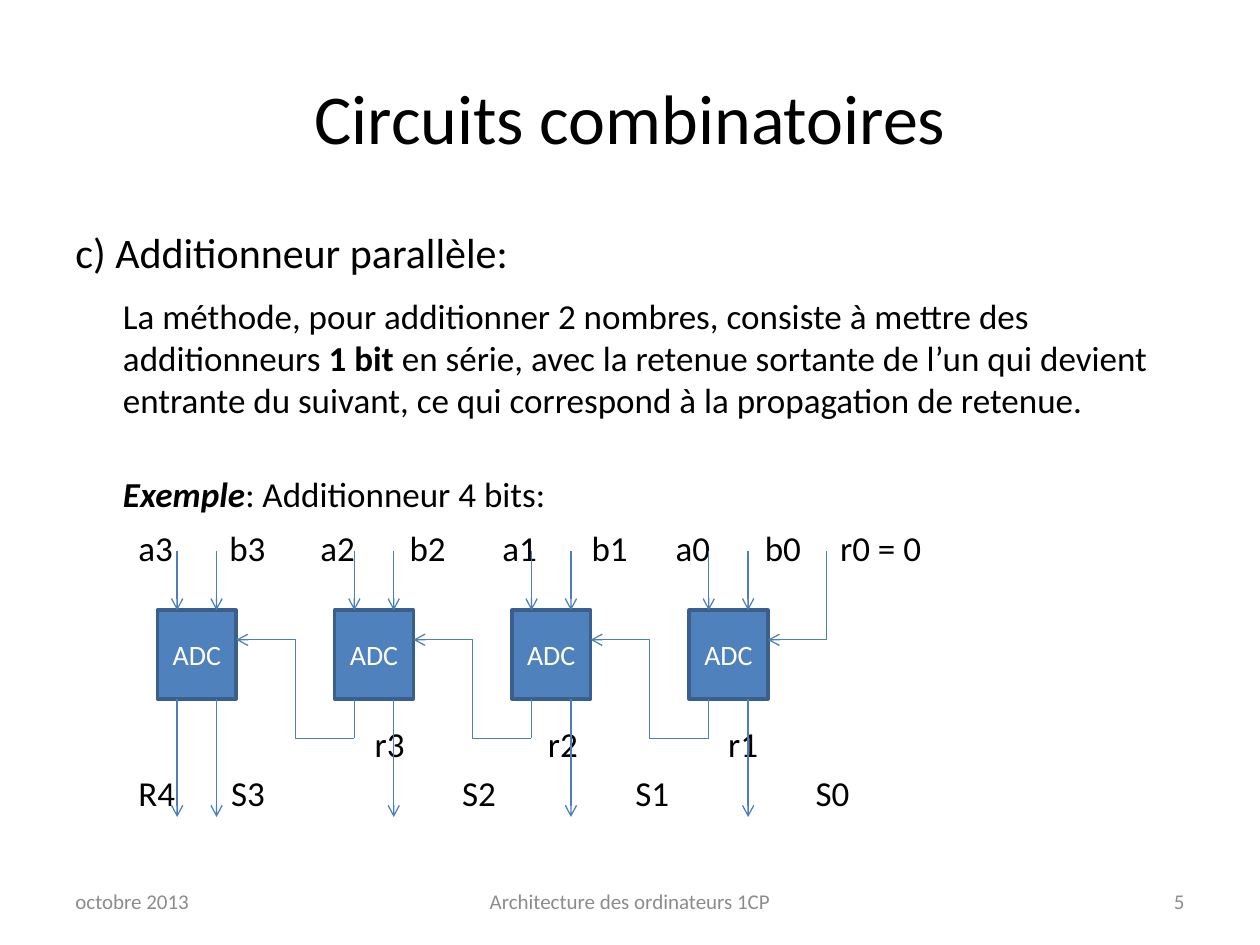
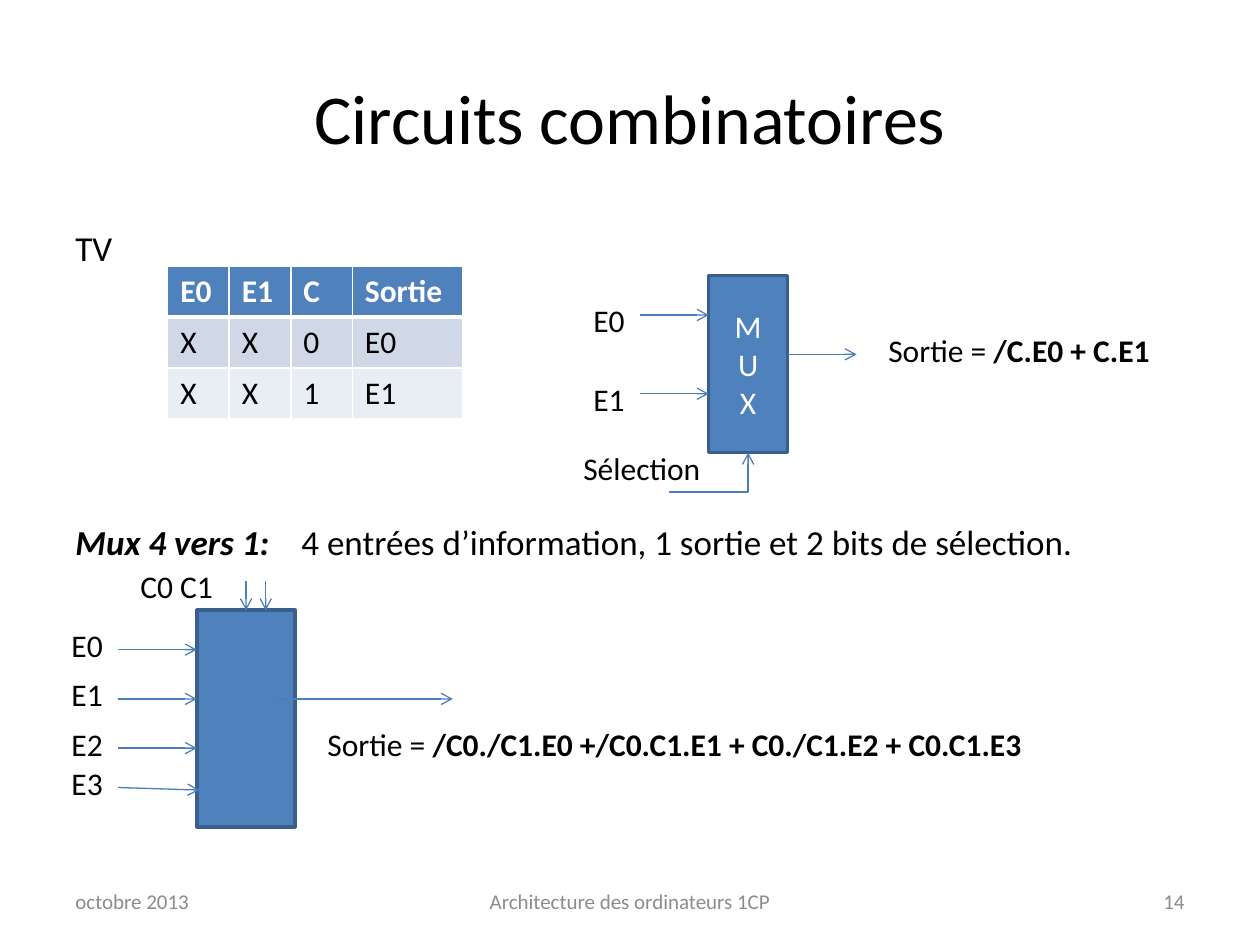
from dataclasses import dataclass

from lxml.etree import SubElement
from pptx import Presentation
from pptx.dml.color import RGBColor
from pptx.enum.shapes import MSO_CONNECTOR as Link, MSO_SHAPE as Preset
from pptx.enum.text import MSO_ANCHOR as Anchor, PP_ALIGN as Align
from pptx.oxml.ns import qn
from pptx.util import Pt


@dataclass(frozen=True)
class Theme:
    font: str = "Calibri"
    ink: str = "000000"
    paper: str = "FFFFFF"
    muted: str = "8C8C8C"
    block: str = "4F81BD"
    outline: str = "3A5F8C"
    wire: str = "4B7EBC"
    bands: tuple = ("D0D8E8", "E9EDF4")
    title: int = 40
    heading: int = 24
    body: int = 20
    label: int = 18
    gate: int = 16
    footer: int = 12


THEME = Theme()


def write(paragraph, text, *, size, color=THEME.ink, bold=False, italic=False):
    run = paragraph.add_run()
    run.text = text
    font = run.font
    font.name, font.size = THEME.font, Pt(size)
    font.bold, font.italic = bold, italic
    font.color.rgb = RGBColor.from_string(color)


class Deck:
    def __init__(self, theme):
        self.theme = theme
        self.file = Presentation()
        self.file.slide_width, self.file.slide_height = Pt(720), Pt(540)
        self.slide = None

    def page(self, title, number):
        self.slide = self.file.slides.add_slide(self.file.slide_layouts[5])
        heading = self.slide.shapes.title
        heading.left, heading.top = Pt(36), Pt(21.6)
        heading.width, heading.height = Pt(648), Pt(90)
        heading.text_frame.vertical_anchor = Anchor.MIDDLE
        paragraph = heading.text_frame.paragraphs[0]
        paragraph.alignment = Align.CENTER
        write(paragraph, title, size=self.theme.title)
        footers = (
            ("octobre 2013", 36, 168, Align.LEFT),
            ("Architecture des ordinateurs 1CP", 246, 228, Align.CENTER),
            (number, 516, 168, Align.RIGHT),
        )
        for text, left, width, align in footers:
            self.text(text, left, 500.5, width, align=align, anchor=Anchor.MIDDLE,
                      size=self.theme.footer, color=self.theme.muted)

    def text(self, text, left, top, width, height=28.8, align=Align.LEFT,
             anchor=Anchor.TOP, **style):
        frame = self.slide.shapes.add_textbox(
            Pt(left), Pt(top), Pt(width), Pt(height)).text_frame
        frame.word_wrap = True
        frame.vertical_anchor = anchor
        paragraph = frame.paragraphs[0]
        paragraph.alignment = align
        write(paragraph, text, **style)
        return frame

    def block(self, text, left, top, width, height, size):
        box = self.slide.shapes.add_shape(
            Preset.RECTANGLE, Pt(left), Pt(top), Pt(width), Pt(height))
        box.shadow.inherit = False
        box.fill.solid()
        box.fill.fore_color.rgb = RGBColor.from_string(self.theme.block)
        box.line.color.rgb = RGBColor.from_string(self.theme.outline)
        box.line.width = Pt(2)
        frame = box.text_frame
        frame.vertical_anchor = Anchor.MIDDLE
        for index, line in enumerate(text.splitlines()):
            paragraph = frame.add_paragraph() if index else frame.paragraphs[0]
            paragraph.alignment = Align.CENTER
            write(paragraph, line, size=size, color=self.theme.paper)

    def wire(self, start, end, arrow=True, bend=None):
        kind = Link.ELBOW if bend else Link.STRAIGHT
        wire = self.slide.shapes.add_connector(kind, *map(Pt, start + end))
        wire.line.color.rgb = RGBColor.from_string(self.theme.wire)
        wire.line.width = Pt(0.75)
        properties = wire._element.spPr
        if bend:
            properties.find(qn("a:prstGeom")).set("prst", bend)
        if arrow:
            SubElement(properties.find(qn("a:ln")), qn("a:tailEnd"), type="arrow")
        SubElement(properties, qn("a:effectLst"))

    def border(self, cell, side, width):
        line = SubElement(cell._tc.get_or_add_tcPr(), qn(f"a:ln{side}"), w=str(Pt(width)))
        fill = SubElement(line, qn("a:solidFill"))
        SubElement(fill, qn("a:srgbClr"), val=self.theme.paper)

    def table(self, rows, left, top, widths, height):
        table = self.slide.shapes.add_table(
            len(rows), len(widths), Pt(left), Pt(top),
            Pt(sum(widths)), Pt(height * len(rows))).table
        for column, width in zip(table.columns, widths):
            column.width = Pt(width)
        fills = (self.theme.block,) + self.theme.bands
        for r, (row, fill) in enumerate(zip(rows, fills)):
            table.rows[r].height = Pt(height)
            for c, value in enumerate(row):
                cell = table.cell(r, c)
                for side in "LRTB":
                    at_header = (r, side) in ((0, "B"), (1, "T"))
                    self.border(cell, side, 3 if at_header else 1)
                cell.fill.solid()
                cell.fill.fore_color.rgb = RGBColor.from_string(fill)
                write(cell.text_frame.paragraphs[0], value, size=self.theme.label,
                      color=self.theme.ink if r else self.theme.paper, bold=r == 0)


def adder(deck):
    theme = deck.theme
    deck.page("Circuits combinatoires", "5")
    deck.text("c) Additionneur parallèle:", 36, 126, 648, 36, size=theme.heading)
    method = deck.text(
        "La méthode, pour additionner 2 nombres, consiste à mettre des additionneurs ",
        63.2, 164.5, 620.8, 140, size=theme.body)
    paragraph = method.paragraphs[0]
    write(paragraph, "1 bit", size=theme.body, bold=True)
    write(paragraph, " en série, avec la retenue sortante de l’un qui devient entrante "
          "du suivant, ce qui correspond à la propagation de retenue.", size=theme.body)
    example = method.add_paragraph()
    example.space_before = Pt(30)
    write(example, "Exemple", size=theme.body, bold=True, italic=True)
    write(example, ": Additionneur 4 bits:", size=theme.body)

    signals = (
        (297.4, (("a3", 72), ("b3", 124), ("a2", 176), ("b2", 227), ("a1", 280),
                 ("b1", 331), ("a0", 379), ("b0", 430), ("r0 = 0", 473))),
        (409.4, (("r3", 207), ("r2", 306), ("r1", 409))),
        (437.4, (("R4", 72), ("S3", 125), ("S2", 257), ("S1", 356), ("S0", 459))),
    )
    for top, names in signals:
        for name, left in names:
            deck.text(name, left, top, 45 if len(name) == 2 else 80, 32, size=theme.body)

    unit = 11.25
    input_top, adder_top, adder_bottom = 315, 348.75, 399.38
    carry_in, carry_out, output_end = 365.62, 421.88, 466.88
    for stage in range(4):
        left = 90 + 9 * unit * stage
        first, second = left + unit, left + 3 * unit
        deck.block("ADC", left, adder_top, 4 * unit, adder_bottom - adder_top, theme.gate)
        for bit in (first, second):
            deck.wire((bit, input_top), (bit, adder_top))
        deck.wire((second, adder_bottom), (second, output_end))
        if stage:
            deck.wire((first, adder_bottom), (first, carry_out), arrow=False)
            deck.wire((first, carry_out), (left - 5 * unit, carry_in),
                      bend="bentConnector3")
        else:
            deck.wire((first, adder_bottom), (first, output_end))
    deck.wire((472.5, input_top), (472.5, carry_in), arrow=False)
    deck.wire((472.5, carry_in), (438.75, carry_in))


def multiplexer(deck):
    theme = deck.theme
    deck.page("Circuits combinatoires", "14")
    deck.text("TV", 36, 126, 60, 32, size=theme.body)
    deck.text("Mux 4 vers 1:", 36, 294, 134, 32, size=theme.body, bold=True, italic=True)
    deck.text("4 entrées d’information, 1 sortie et 2 bits de sélection.",
              165.2, 294, 518, 32, size=theme.body)
    deck.table((("E0", "E1", "C", "Sortie"), ("X", "X", "0", "E0"), ("X", "X", "1", "E1")),
               95.8, 151.9, (35.2, 35.2, 35.2, 63), 29.2)

    deck.block("M\nU\nX", 405, 157.5, 45, 101.25, theme.label)
    for name, y in (("E0", 180), ("E1", 225)):
        deck.wire((366, y), (405, y))
        deck.text(name, 332, y - 11.25, 36, size=theme.label)
    deck.wire((450, 202.5), (489.5, 202.5))
    deck.wire((382.5, 281.25), (427.5, 258.75), bend="bentConnector2")
    deck.text("Sélection", 326.25, 253.1, 90, size=theme.label)

    deck.block("", 112.5, 348.75, 56.25, 123.75, theme.label)
    for name, y, end in (("E0", 371.25, (112.5, 371.25)), ("E1", 399.38, (112.5, 399.38)),
                         ("E2", 427.5, (112.5, 427.5)), ("E3", 450, (113.9, 451.5))):
        deck.wire((67.5, y), end)
        deck.text(name, 33.75, y - 17, 36, size=theme.label)
    deck.wire((157.5, 399.38), (258.75, 399.38))
    deck.text("C0 C1", 73.1, 320.6, 64, size=theme.label)
    for x in (140.62, 151.88):
        deck.wire((x, 331.88), (x, 348.75))

    formulas = (("/C.E0 + C.E1", 500.5, 185.6, 180),
                ("/C0./C1.E0 +/C0.C1.E1 + C0./C1.E2 + C0.C1.E3", 180, 410.6, 440))
    for formula, left, top, width in formulas:
        output = deck.text("Sortie = ", left, top, width, size=theme.label)
        write(output.paragraphs[0], formula, size=theme.label, bold=True)


deck = Deck(THEME)
adder(deck)
multiplexer(deck)
deck.file.save("out.pptx")
